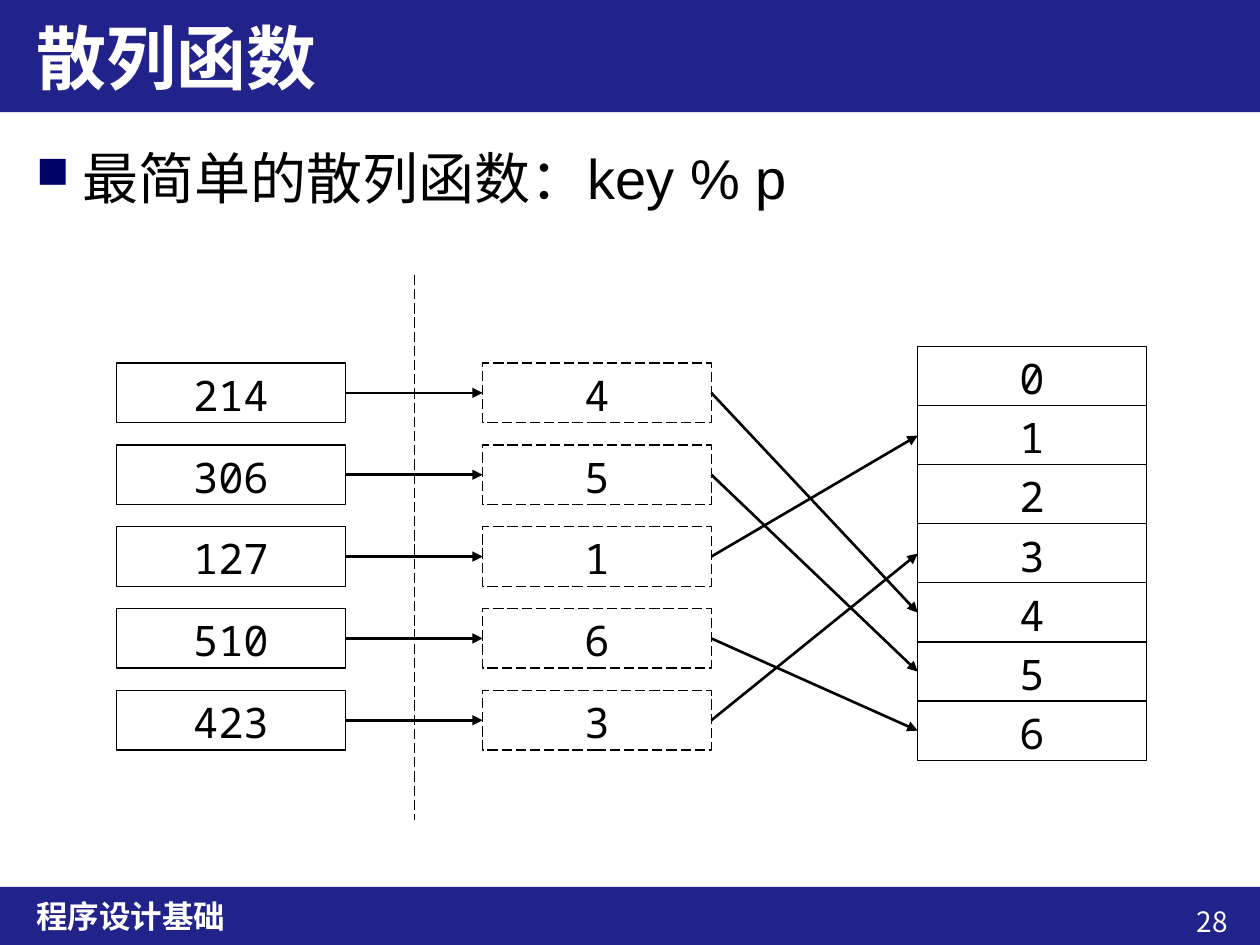
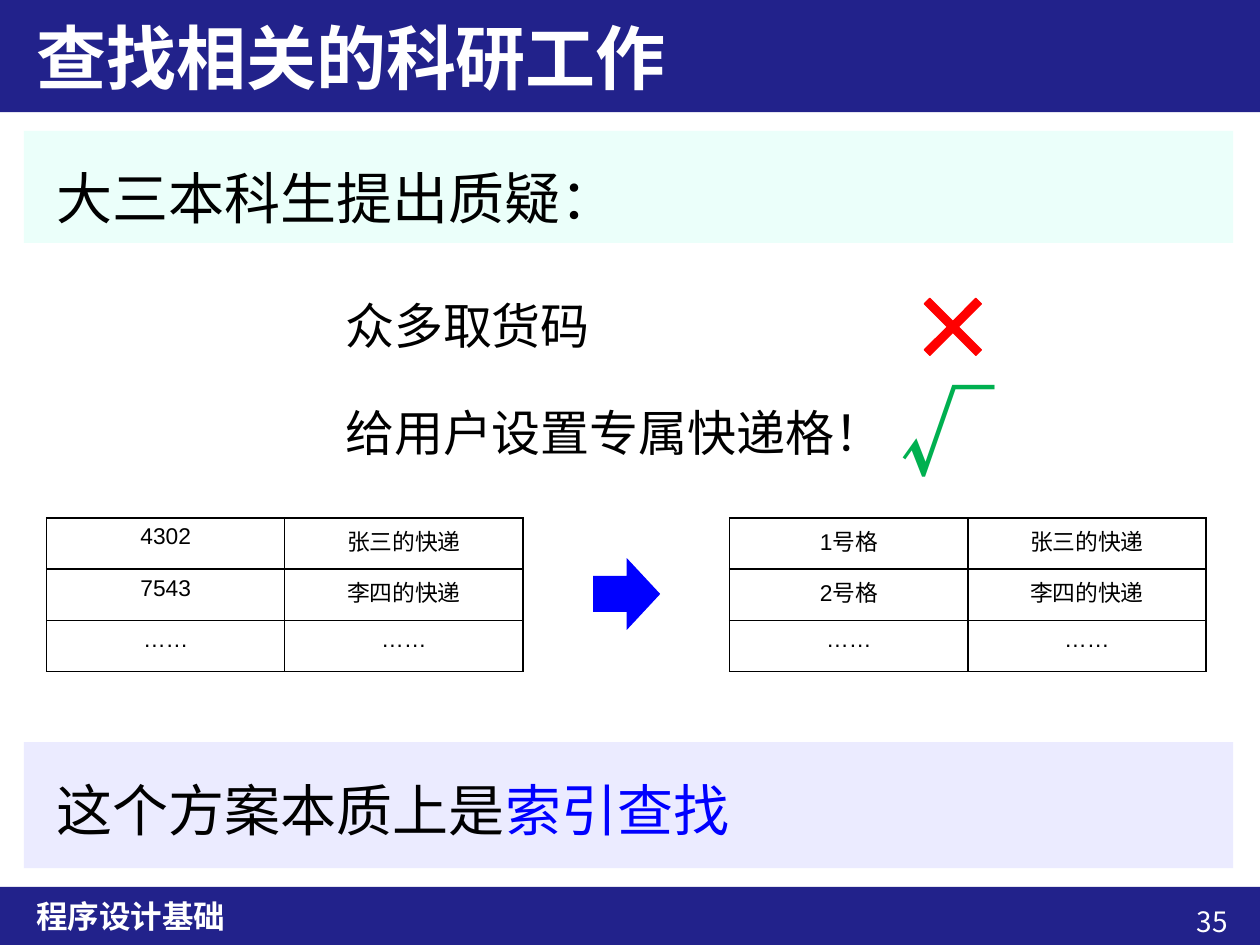
from dataclasses import dataclass
from typing import Optional

from lxml import etree
from pptx import Presentation, util as u
from pptx.dml.color import RGBColor
from pptx.enum import dml, shapes as sh, text as tx
from pptx.oxml import ns

LEFT, MID, RIGHT = tx.PP_ALIGN.LEFT, tx.PP_ALIGN.CENTER, tx.PP_ALIGN.RIGHT
RECT = sh.MSO_SHAPE.RECTANGLE


# Theme: colours and type in one place
@dataclass(frozen=True)
class Face:
    size: float
    color: str = "000000"
    font: str = "Noto Sans CJK SC"
    bold: bool = False


@dataclass(frozen=True)
class Theme:
    navy: str = "22228B"
    bullet: str = "000066"
    black: str = "000000"
    white: str = "FFFFFF"
    mint: str = "EBFFFA"
    lilac: str = "EBEBFF"
    blue: str = "0000FF"
    red: str = "FF0000"
    asian: str = "Noto Sans CJK SC"
    title: Face = Face(40, "FFFFFF", bold=True)
    foot: Face = Face(18, "FFFFFF", bold=True)
    number: Face = Face(16, "FFFFFF")
    body: Face = Face(32, font="Arial")
    point: Face = Face(28)
    tick: Face = Face(54, "00B050", bold=True)
    code: Face = Face(24, font="Noto Sans Mono")
    cell: Face = Face(13, font="Arial")


T = Theme()


# All lengths below are centimetres
@dataclass(frozen=True)
class Box:
    x: float
    y: float
    w: float
    h: float

    @property
    def right(self) -> float:
        return self.x + self.w

    @property
    def mid(self) -> float:
        return self.y + self.h / 2

    def args(self) -> tuple:
        return tuple(u.Cm(v) for v in (self.x, self.y, self.w, self.h))


@dataclass(frozen=True)
class Pen:
    width: float = 0.75
    color: str = T.black
    dash: Optional[dml.MSO_LINE] = None


THIN = Pen()
DASH = Pen(dash=dml.MSO_LINE.LONG_DASH)
BOLD = Pen(1.5)

HEAD = Box(0.48, 0, 24.38, 2.26)
FOOT = Box(0.48, 17.88, 24.38, 1.17)


# Shared drawing tools
def rgb(code: str) -> RGBColor:
    return RGBColor.from_string(code)


def add_xml(parent, tag: str, **attrs: str):
    return etree.SubElement(parent, ns.qn(tag), attrs)


def write(frame, words: str, face: Face, align=LEFT, lead=None, accent=""):
    """Fill the first paragraph; the accent is a closing run in blue."""
    para = frame.paragraphs[0]
    para.alignment = align
    if lead:
        para.line_spacing = lead
    para.add_run().text = words
    font = para.font
    font.size, font.bold, font.name = u.Pt(face.size), face.bold, face.font
    font.color.rgb = rgb(face.color)
    add_xml(para._p.pPr.find(ns.qn("a:defRPr")), "a:ea", typeface=T.asian)
    if accent:
        run = para.add_run()
        run.text = accent
        run.font.color.rgb = rgb(T.blue)
    return para


def label(slide, box: Box, words: str, face: Face, align=LEFT,
          anchor=tx.MSO_ANCHOR.TOP, lead=None, accent=""):
    shape = slide.shapes.add_textbox(*box.args())
    shape.text_frame.word_wrap = True
    shape.text_frame.vertical_anchor = anchor
    write(shape.text_frame, words, face, align, lead, accent)
    return shape


def stroke(line, pen: Pen) -> None:
    line.color.rgb = rgb(pen.color)
    line.width = u.Pt(pen.width)
    if pen.dash:
        line.dash_style = pen.dash


def block(slide, box: Box, fill: str, pen: Optional[Pen] = None, kind=RECT):
    shape = slide.shapes.add_shape(kind, *box.args())
    shape.shadow.inherit = False
    shape.fill.solid()
    shape.fill.fore_color.rgb = rgb(fill)
    if pen:
        stroke(shape.line, pen)
    else:
        shape.line.fill.background()
    return shape


def slot(slide, box: Box, value: int, pen: Pen) -> None:
    frame = block(slide, box, T.white, pen).text_frame
    frame.vertical_anchor = tx.MSO_ANCHOR.TOP
    write(frame, str(value), T.code, MID)


def link(slide, x1: float, y1: float, x2: float, y2: float,
         pen: Pen, arrow: bool = True) -> None:
    ends = [u.Cm(v) for v in (x1, y1, x2, y2)]
    line = slide.shapes.add_connector(sh.MSO_CONNECTOR.STRAIGHT, *ends)
    stroke(line.line, pen)
    if arrow:
        add_xml(line.line._get_or_add_ln(), "a:tailEnd", type="triangle")
    add_xml(line._element.spPr, "a:effectLst")


def grid(slide, box: Box, rows: list) -> None:
    table = slide.shapes.add_table(len(rows), len(rows[0]), *box.args()).table
    table.first_row = table.horz_banding = False
    for r, row in enumerate(rows):
        for c, words in enumerate(row):
            cell = table.cell(r, c)
            props = cell._tc.get_or_add_tcPr()
            for side in "LRTB":
                edge = add_xml(props, f"a:ln{side}", w=str(u.Pt(1)))
                paint = add_xml(edge, "a:solidFill")
                add_xml(paint, "a:srgbClr", val=T.black)
            cell.fill.background()
            write(cell.text_frame, words, T.cell, MID)


# Frame shared by the slides
def dress(slide, layout) -> None:
    """Draw the bands and footer, then hand them to the layout."""
    parts = [block(slide, Box(-0.03, band.y, 25.43, band.h), T.navy)
             for band in (HEAD, FOOT)]
    parts.append(label(slide, FOOT, "程序设计基础", T.foot,
                       anchor=tx.MSO_ANCHOR.MIDDLE))
    for spot, part in enumerate(parts, 2):
        layout.shapes._spTree.insert(spot, part._element)


def start(deck, layout, title: str, number: int):
    slide = deck.slides.add_slide(layout)
    head = slide.shapes.title
    head.left, head.top, head.width, head.height = HEAD.args()
    frame = head.text_frame
    frame.auto_size = tx.MSO_AUTO_SIZE.NONE
    frame.vertical_anchor = tx.MSO_ANCHOR.MIDDLE
    write(frame, title, T.title)
    label(slide, Box(21.82, 18.11, 3.18, 0.94), str(number), T.number, RIGHT)
    return slide


# Slide: hash function
def hashing(slide) -> None:
    body = label(slide, Box(0.48, 2.64, 24.38, 14.86),
                 "最简单的散列函数：key % p", T.body, lead=1.1)
    para = body.text_frame.paragraphs[0]
    para.space_before = u.Pt(6.4)
    props = para._p.pPr
    props.set("marL", str(u.Cm(0.94)))
    props.set("indent", str(-u.Cm(0.94)))
    # Bullet marks come before the default run properties
    last = props.find(ns.qn("a:defRPr"))
    tint = etree.Element(ns.qn("a:buClr"))
    add_xml(tint, "a:srgbClr", val=T.bullet)
    size = etree.Element(ns.qn("a:buSzPct"), val="80000")
    mark = etree.Element(ns.qn("a:buChar"), char="■")
    for item in (tint, size, mark):
        last.addprevious(item)

    keys, prime = [214, 306, 127, 510, 423], 7
    wide, high = 4.61, 1.2
    slots = [Box(18.5, 6.99 + 1.19 * i, wide, high) for i in range(prime)]
    link(slide, 8.36, 5.54, 8.36, 16.54, DASH, arrow=False)
    for i, box in enumerate(slots):
        slot(slide, box, i, THIN)
    for i, key in enumerate(keys):
        top = 7.32 + 1.65 * i
        source = Box(2.35, top, wide, high)
        result = Box(9.73, top, wide, high)
        goal = slots[key % prime]
        slot(slide, source, key, THIN)
        slot(slide, result, key % prime, DASH)
        link(slide, source.right, source.mid, result.x, result.mid, BOLD)
        link(slide, result.right, result.mid, goal.x, goal.mid, BOLD)


# Slide: research on searching
def research(slide) -> None:
    block(slide, Box(0.48, 2.64, 24.38, 2.26), T.mint)
    block(slide, Box(0.48, 14.96, 24.38, 2.54), T.lilac)
    label(slide, Box(0.89, 2.9, 23.44, 1.75), "大三本科生提出质疑：",
          T.body, lead=1.2)
    label(slide, Box(0.89, 15.24, 23.44, 1.73), "这个方案本质上是",
          T.body, lead=1.2, accent="索引查找")

    # Rejected and accepted ideas
    for top, words in ((5.84, "众多取货码"), (7.98, "给用户设置专属快递格！")):
        label(slide, Box(6.71, top, 11.51, 1.45), words, T.point)
    cross = block(slide, Box(18.21, 5.59, 2, 2), T.red, Pen(color=T.red),
                  sh.MSO_SHAPE.MATH_MULTIPLY)
    cross.adjustments[0] = 0.079
    label(slide, Box(17.91, 7.42, 3, 2.57), "√", T.tick)

    # Parcel tables before and after
    goods = ["张三的快递", "李四的快递", "……"]
    for left, codes in ((0.94, ["4302", "7543", "……"]),
                        (14.71, ["1号格", "2号格", "……"])):
        grid(slide, Box(left, 10.44, 9.6, 3.1), list(zip(codes, goods)))
    block(slide, Box(11.96, 11.25, 1.35, 1.45), T.blue,
          kind=sh.MSO_SHAPE.RIGHT_ARROW)


def main() -> None:
    deck = Presentation()
    deck.slide_width, deck.slide_height = u.Cm(25.4), u.Cm(19.05)
    layout = deck.slide_layouts[5]
    first = start(deck, layout, "散列函数", 28)
    dress(first, layout)
    hashing(first)
    research(start(deck, layout, "查找相关的科研工作", 35))
    deck.save("out.pptx")


if __name__ == "__main__":
    main()
